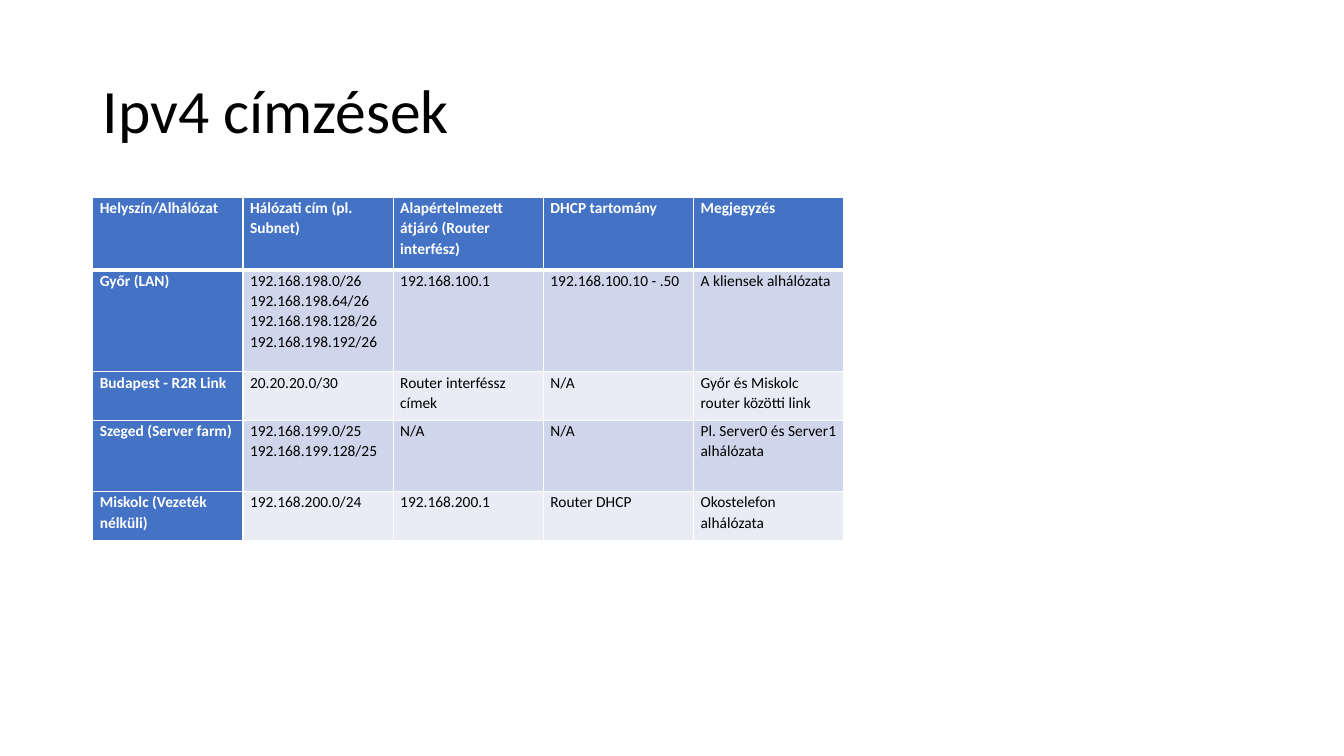
import pptx
import pptx.util
import pptx.dml.color
import pptx.enum.text
import pptx.oxml
import pptx.oxml.ns
from pptx.util import Inches

FONT = "Calibri"
BLUE, WHITE, BLACK = "4472C4", "FFFFFF", "000000"
BANDS = ("CFD5EA", "E9EBF5")
COLUMN_WIDTH = 1.49
ROW_HEIGHTS = (0.72, 1.01, 0.48, 0.71, 0.48)
ADDRESSES = (
    ("Helyszín/Alhálózat", "Hálózati cím (pl. Subnet)",
     "Alapértelmezett átjáró (Router interfész)", "DHCP tartomány", "Megjegyzés"),
    ("Győr (LAN)",
     "192.168.198.0/26\n192.168.198.64/26\n192.168.198.128/26\n192.168.198.192/26",
     "192.168.100.1", "192.168.100.10 - .50", "A kliensek alhálózata"),
    ("Budapest - R2R Link", "20.20.20.0/30", "Router interféssz címek", "N/A",
     "Győr és Miskolc router közötti link"),
    ("Szeged (Server farm)", "192.168.199.0/25\n192.168.199.128/25", "N/A", "N/A",
     "Pl. Server0 és Server1 alhálózata"),
    ("Miskolc (Vezeték nélküli)", "192.168.200.0/24", "192.168.200.1", "Router DHCP",
     "Okostelefon alhálózata"),
)


def color(hex_value):
    return pptx.dml.color.RGBColor.from_string(hex_value)


def format_text(frame, size, hex_value, spacing, bold=False):
    for paragraph in frame.paragraphs:
        paragraph.alignment = pptx.enum.text.PP_ALIGN.LEFT
        paragraph.line_spacing = spacing
        for run in paragraph.runs:
            run.font.name = FONT
            run.font.size = pptx.util.Pt(size)
            run.font.bold = bold
            run.font.color.rgb = color(hex_value)


def add_borders(cell, widths):
    properties = cell._tc.get_or_add_tcPr()
    for side, width in widths.items():
        properties.append(pptx.oxml.parse_xml(
            f'<a:ln{side} {pptx.oxml.ns.nsdecls("a")} w="{pptx.util.Pt(width)}">'
            f'<a:solidFill><a:srgbClr val="{WHITE}"/></a:solidFill></a:ln{side}>'))


def set_title(slide, text):
    title = slide.shapes.title
    title.left, title.top = Inches(0.92), Inches(0.4)
    title.width, title.height = Inches(11.5), Inches(1.45)
    title.text_frame.text = text
    title.text_frame.vertical_anchor = pptx.enum.text.MSO_ANCHOR.MIDDLE
    format_text(title.text_frame, 44, BLACK, 0.9)


def fill_cell(cell, text, row, column):
    is_heading = row == 0 or column == 0
    cell.margin_left = cell.margin_right = Inches(0.07)
    cell.margin_top = cell.margin_bottom = 0
    cell.text_frame.text = text
    format_text(cell.text_frame, 11, WHITE if is_heading else BLACK, 1.07, is_heading)
    # The line under the header row is thicker
    add_borders(cell, {"L": 1, "R": 1, "T": 3 if row == 1 else 1, "B": 3 if row == 0 else 1})
    cell.fill.solid()
    cell.fill.fore_color.rgb = color(BLUE if is_heading else BANDS[(row - 1) % 2])


def add_address_table(slide):
    row_count, column_count = len(ADDRESSES), len(ADDRESSES[0])
    table = slide.shapes.add_table(
        row_count, column_count, Inches(0.92), Inches(1.96),
        Inches(COLUMN_WIDTH * column_count), Inches(sum(ROW_HEIGHTS))).table
    table.first_col = True
    for column in table.columns:
        column.width = Inches(COLUMN_WIDTH)
    for row, height in zip(table.rows, ROW_HEIGHTS):
        row.height = Inches(height)
    for row, texts in enumerate(ADDRESSES):
        for column, text in enumerate(texts):
            fill_cell(table.cell(row, column), text, row, column)


def main():
    presentation = pptx.Presentation()
    presentation.slide_width, presentation.slide_height = Inches(13.33), Inches(7.5)
    # Title Only layout
    slide = presentation.slides.add_slide(presentation.slide_layouts[5])
    set_title(slide, "Ipv4 címzések")
    add_address_table(slide)
    presentation.save("out.pptx")


if __name__ == "__main__":
    main()
